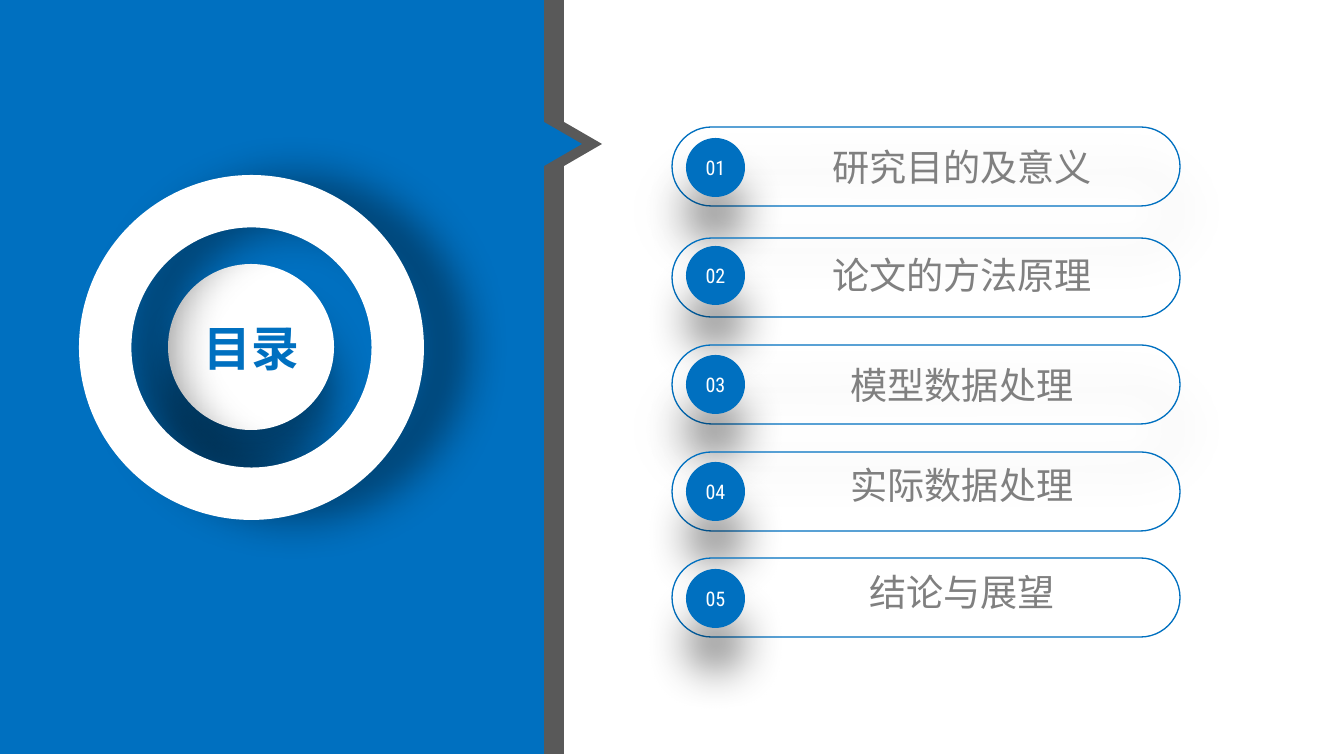
from lxml.etree import SubElement
from pptx import Presentation
from pptx.dml.color import RGBColor
from pptx.enum.shapes import MSO_SHAPE
from pptx.enum.text import MSO_ANCHOR, MSO_AUTO_SIZE, PP_ALIGN
from pptx.oxml.ns import qn
from pptx.util import Emu, Pt

BLUE = RGBColor(0x00, 0x70, 0xC0)
DARK = RGBColor(0x59, 0x59, 0x59)
GREY = RGBColor(0x80, 0x80, 0x80)
WHITE = RGBColor(0xFF, 0xFF, 0xFF)

CHAPTERS = [
    ("研究目的及意义", 127, 138, 144, True),
    ("论文的方法原理", 238, 246, 252, False),
    ("模型数据处理", 345, 355, 362, True),
    ("实际数据处理", 452, 462, 462, False),
    ("结论与展望", 558, 569, 569, False),
]


class Deck:
    """Holds the contents slide and its style, and draws each kind of element."""

    FONT = "Roboto Condensed"
    SCALE = 9565

    def __init__(self, width, height):
        self.prs = Presentation()
        self.prs.slide_width, self.prs.slide_height = self.px(width, height)
        self.slide = self.prs.slides.add_slide(self.prs.slide_layouts[5])

    def px(self, *lengths):
        return [Emu(n * self.SCALE) for n in lengths]

    def shape(self, kind, box, fill=None, line=None, adj=None, rotation=0):
        sp = self.slide.shapes.add_shape(kind, *self.px(*box))
        sp.shadow.inherit = False
        sp.rotation = rotation
        if adj is not None:
            sp.adjustments[0] = adj
        if fill is None:
            sp.fill.background()
        else:
            sp.fill.solid()
            sp.fill.fore_color.rgb = fill
        if line is None:
            sp.line.fill.background()
        else:
            sp.line.color.rgb = line
            sp.line.width = Pt(1)
        return sp

    def shadow(self, sp, alpha=43, angle=90):
        effects = sp._element.spPr.find(qn("a:effectLst"))
        outer = SubElement(effects, qn("a:outerShdw"), blurRad=str(Pt(33)),
                           dist=str(Pt(33)), dir=str(angle * 60000),
                           algn="ctr", rotWithShape="0")
        color = SubElement(outer, qn("a:srgbClr"), val="000000")
        SubElement(color, qn("a:alpha"), val=str(alpha * 1000))

    def text(self, sp, text, size, color, bold=False):
        tf = sp.text_frame
        tf.word_wrap = True
        tf.auto_size = MSO_AUTO_SIZE.NONE
        tf.vertical_anchor = MSO_ANCHOR.MIDDLE
        tf.margin_left = tf.margin_right = 0
        tf.margin_top = tf.margin_bottom = 0
        p = tf.paragraphs[0]
        p.alignment = PP_ALIGN.CENTER
        r = p.add_run()
        r.text = text
        r.font.name = self.FONT
        r.font.size = Pt(size)
        r.font.bold = bold
        r.font.color.rgb = color

    def label(self, box, text, size, color):
        sp = self.slide.shapes.add_textbox(*self.px(*box))
        self.text(sp, text, size, color)

    def title(self, box, text, size, color):
        sp = self.slide.shapes.title
        sp.left, sp.top, sp.width, sp.height = self.px(*box)
        self.text(sp, text, size, color, bold=True)
        self.slide.shapes._spTree.append(sp._element)

    def panel(self, left, width, tip_left, color):
        self.shape(MSO_SHAPE.ISOSCELES_TRIANGLE, (tip_left, 125, 44, 38),
                   color, rotation=90)
        self.shape(MSO_SHAPE.RECTANGLE, (left, 0, width, 754), color)

    def chapter(self, number, text, pill_top, badge_top, text_top, shaded):
        pill = self.shape(MSO_SHAPE.ROUNDED_RECTANGLE, (672, pill_top, 508, 79),
                          line=BLUE, adj=0.5)
        if shaded:
            self.shadow(pill)
        badge = self.shape(MSO_SHAPE.OVAL, (686, badge_top, 59, 59), BLUE)
        self.shadow(badge)
        self.text(badge, f"{number:02}", 15.1, WHITE)
        self.label((786, text_top, 352, 45), text, 28, GREY)


def main():
    deck = Deck(1344, 756)
    for number, chapter in enumerate(CHAPTERS, 1):
        deck.chapter(number, *chapter)
    deck.panel(20, 544, 561, DARK)
    deck.panel(0, 544, 541, BLUE)
    hub_box = (168, 264, 166, 166)
    hub = deck.shape(MSO_SHAPE.OVAL, hub_box, WHITE)
    deck.shadow(hub)
    ring = deck.shape(MSO_SHAPE.DONUT, (79, 175, 345, 345), WHITE, adj=0.152)
    deck.shadow(ring, alpha=40, angle=0)
    deck.title(hub_box, "目录", 36, BLUE)
    deck.prs.save("out.pptx")


if __name__ == "__main__":
    main()
